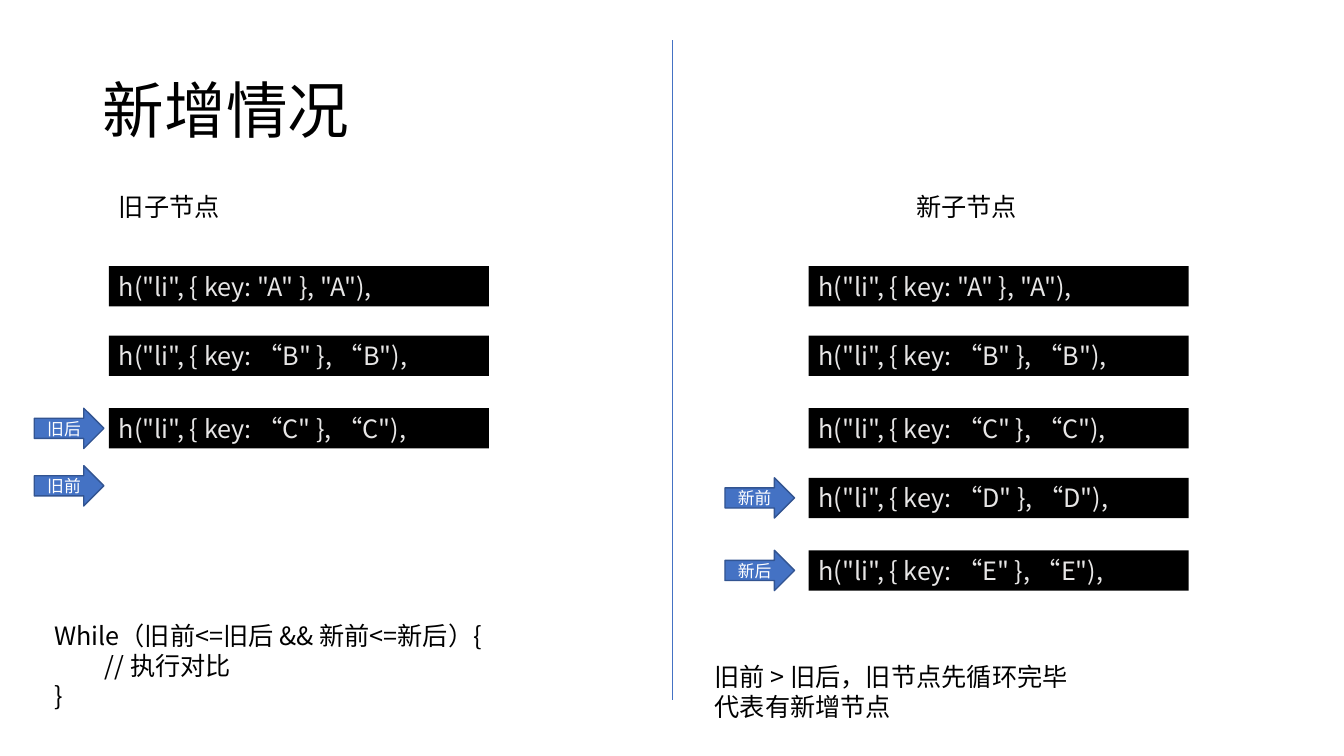
from lxml.etree import SubElement
from pptx import Presentation
from pptx.dml.color import RGBColor
from pptx.enum.shapes import MSO_CONNECTOR, MSO_SHAPE
from pptx.enum.text import MSO_ANCHOR, MSO_AUTO_SIZE, PP_ALIGN
from pptx.oxml.ns import qn
from pptx.util import Inches, Pt

FONT = "Noto Sans CJK SC"
BLACK, WHITE, CODE_TEXT = "000000", "FFFFFF", "E7E6E6"
BLUE, DARK_BLUE = "4472C4", "325491"
ROW_TOPS = [2.64, 3.33, 4.05, 4.74, 5.46]
ROW_H = 0.4
CODE_W = 3.77
CODE = {
    "A": 'h("li", { key: "A" }, "A"),',
    **{key: f'h("li", {{ key: “{key}" }}, “{key}"),' for key in "BCDE"},
}


def color(value):
    return RGBColor.from_string(value)


def write(tf, lines, size, text_color, align=PP_ALIGN.LEFT, anchor=MSO_ANCHOR.TOP):
    tf.word_wrap = True
    tf.vertical_anchor = anchor
    for i, line in enumerate(lines):
        p = tf.paragraphs[0] if i == 0 else tf.add_paragraph()
        p.alignment = align
        r = p.add_run()
        r.text = line
        r.font.size = Pt(size)
        r.font.color.rgb = color(text_color)
        r.font.name = FONT
        SubElement(r.font._element, qn("a:ea"), typeface=FONT)


def add_title(slide, text, left, top, width, height):
    sp = slide.shapes.title
    sp.left, sp.top = Inches(left), Inches(top)
    sp.width, sp.height = Inches(width), Inches(height)
    sp.text_frame.auto_size = MSO_AUTO_SIZE.NONE
    write(sp.text_frame, [text], 44, BLACK, anchor=MSO_ANCHOR.MIDDLE)
    sp.text_frame.paragraphs[0].line_spacing = 0.9


def add_divider(slide, x, top, bottom):
    line = slide.shapes.add_connector(
        MSO_CONNECTOR.STRAIGHT, Inches(x), Inches(top), Inches(x), Inches(bottom))
    line.line.color.rgb = color(BLUE)
    line.line.width = Pt(0.5)
    SubElement(line._element.spPr, qn("a:effectLst"))


def add_text(slide, lines, left, top, width, height):
    sp = slide.shapes.add_textbox(Inches(left), Inches(top), Inches(width), Inches(height))
    write(sp.text_frame, lines, 18, BLACK)
    sp.text_frame.auto_size = MSO_AUTO_SIZE.SHAPE_TO_FIT_TEXT


def add_box(slide, kind, left, top, width, fill):
    sp = slide.shapes.add_shape(kind, Inches(left), Inches(top), Inches(width), Inches(ROW_H))
    sp.shadow.inherit = False
    sp.fill.solid()
    sp.fill.fore_color.rgb = color(fill)
    return sp


def add_code(slide, text, left, top):
    sp = add_box(slide, MSO_SHAPE.RECTANGLE, left, top, CODE_W, BLACK)
    sp.line.fill.background()
    write(sp.text_frame, [text], 18, CODE_TEXT)
    sp.text_frame.auto_size = MSO_AUTO_SIZE.SHAPE_TO_FIT_TEXT


def add_pointer(slide, label, left, top):
    sp = add_box(slide, MSO_SHAPE.RIGHT_ARROW, left, top, 0.69, BLUE)
    sp.line.color.rgb = color(DARK_BLUE)
    sp.line.width = Pt(1)
    write(sp.text_frame, [label], 12, WHITE, PP_ALIGN.CENTER, MSO_ANCHOR.MIDDLE)


def add_node_list(slide, left, heading, heading_left, keys, pointer_left, pointers):
    """Heading, one code row per key, and arrows given as label: top."""
    add_text(slide, [heading], heading_left, 1.85, 1.99, ROW_H)
    for key, top in zip(keys, ROW_TOPS):
        add_code(slide, CODE[key], left, top)
    for label, top in pointers.items():
        add_pointer(slide, label, pointer_left, top)


def main():
    prs = Presentation()
    prs.slide_width, prs.slide_height = Inches(13.33), Inches(7.5)
    slide = prs.slides.add_slide(prs.slide_layouts[5])

    # Title and divider
    add_title(slide, "新增情况", 0.92, 0.4, 11.5, 1.45)
    add_divider(slide, 6.67, 0.4, 6.94)

    # Old and new child nodes
    add_node_list(slide, 1.08, "旧子节点", 1.08, "ABC", 0.34,
                  {"旧前": 4.62, "旧后": ROW_TOPS[2]})
    add_node_list(slide, 8.02, "新子节点", 8.99, "ABCDE", 7.19,
                  {"新后": ROW_TOPS[4], "新前": ROW_TOPS[3]})

    # Loop condition and conclusion
    add_text(slide, ["While（旧前<=旧后 && 新前<=新后）{", "\t// 执行对比", "}"],
             0.44, 6.1, 4.76, 1.01)
    add_text(slide, ["旧前 > 旧后，旧节点先循环完毕", "代表有新增节点"],
             6.99, 6.51, 4.14, 0.71)

    prs.save("out.pptx")


if __name__ == "__main__":
    main()
